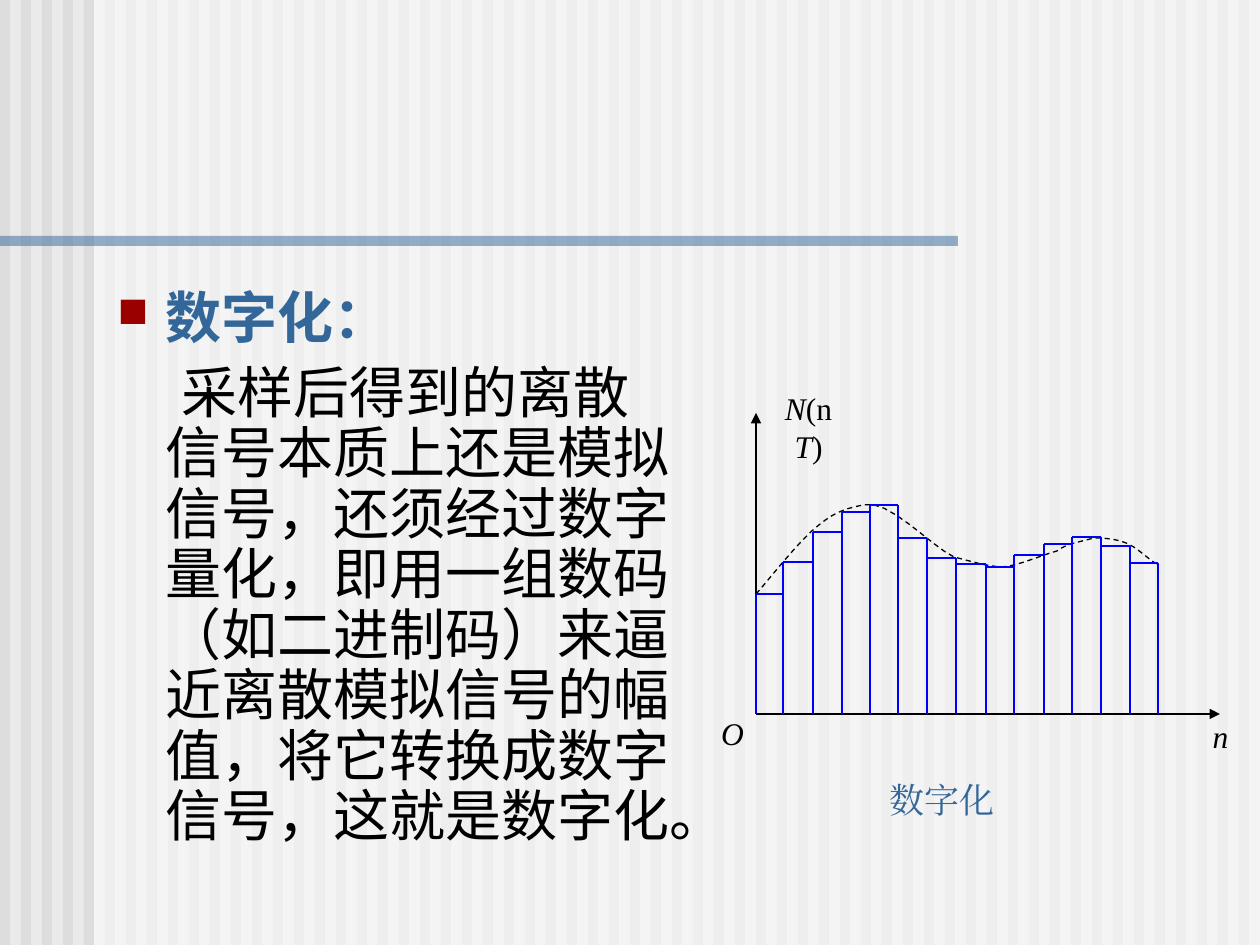
from itertools import pairwise
from lxml import etree
from pptx import Presentation
from pptx import util as u
from pptx.dml.color import RGBColor
from pptx.enum import dml, shapes, text
from pptx.oxml.ns import qn

PX = u.Inches(1) / 126
COLORS = {"page": "EAEAEA", "stripe": "DDDDDD", "veil": "FFFFFF", "accent": "336699",
          "bullet": "9A0000", "ink": "000000", "bar": "0000FF"}


def px(*lengths):
    return [round(length * PX) for length in lengths]


def add_text(place, paragraphs, size, font, color, **frame_format):
    box = page.shapes.add_textbox(*px(*place))
    for name, value in frame_format.items():
        setattr(box.text_frame, name, value)
    for index, runs in enumerate(paragraphs):
        para = box.text_frame.paragraphs[0] if index == 0 else box.text_frame.add_paragraph()
        for words, run_format in runs:
            span = para.add_run()
            span.text = words
            settings = {"size": u.Pt(size), "name": font} | run_format
            for name, value in settings.items():
                setattr(span.font, name, value)
            span.font.color.rgb = RGBColor.from_string(COLORS[color])
            etree.SubElement(span.font._element, qn("a:ea"), typeface=font)
    return box


deck = Presentation()
deck.slide_width, deck.slide_height = px(1260, 945)
page = deck.slides.add_slide(deck.slide_layouts[6])
page.background.fill.solid()
page.background.fill.fore_color.rgb = RGBColor.from_string(COLORS["page"])

panels = [(21 * i, 0, 10, 945, "stripe", 100) for i in range(60)]
panels += [(94, 0, 1166, 945, "veil", 50), (0, 236, 958, 10, "accent", 50)]
for left, top, width, height, color, opacity in panels:
    panel = page.shapes.add_shape(shapes.MSO_SHAPE.RECTANGLE, *px(left, top, width, height))
    panel.shadow.inherit = False
    panel.line.fill.background()
    panel.fill.solid()
    panel.fill.fore_color.rgb = RGBColor.from_string(COLORS[color])
    if opacity < 100:
        tint = panel._element.spPr.find(".//" + qn("a:srgbClr"))
        etree.SubElement(tint, qn("a:alpha"), val=str(opacity * 1000))

body = add_text((105, 284, 586, 635), [
    [("数字化：", {"bold": True})],
    [("采样后得到的离散信号本质上还是模拟信号，还须经过数字量化，即用一组数码"
      "（如二进制码）来逼近离散模拟信号的幅值，将它转换成数字信号，这就是数字化。", {})],
], 32, "DejaVu Sans", "ink", word_wrap=True)
heading, explanation = body.text_frame.paragraphs
heading.runs[0].font.color.rgb = RGBColor.from_string(COLORS["accent"])
for para, indent in ((heading, -48), (explanation, 16)):
    para.line_spacing = 0.9
    props = para._p.get_or_add_pPr()
    props.set("marL", str(px(48)[0]))
    props.set("indent", str(px(indent)[0]))
explanation.space_before = u.Pt(8)
props = heading._p.get_or_add_pPr()
bullet_color = etree.SubElement(props, qn("a:buClr"))
etree.SubElement(bullet_color, qn("a:srgbClr"), val=COLORS["bullet"])
etree.SubElement(props, qn("a:buSzPct"), val="75000")
etree.SubElement(props, qn("a:buChar"), char="■")

italic, upright = {"italic": True}, {"italic": False}
labels = [
    ((858, 780, 169, 40), [("数字化", {})], 20, "accent"),
    ((704, 709, 57, 48), [("O", italic)], 18, "ink"),
    ((1192, 712, 57, 48), [("n", italic)], 18, "ink"),
    ((769, 403, 79, 48), [("N", italic), ("(n", upright), ("T", italic), (")", upright)], 18, "ink"),
]
for place, runs, size, color in labels:
    label = add_text(place, [runs], size, "Times New Roman", color,
                     word_wrap=False, vertical_anchor=text.MSO_ANCHOR.MIDDLE)
    label.text_frame.paragraphs[0].alignment = text.PP_ALIGN.CENTER

curve_start = (756, 594)
curve_segments = [
    ((764, 586), (800, 539), (819, 525)),
    ((837, 510), (850, 508), (863, 505)),
    ((887, 497), (932, 547), (954, 557)),
    ((974, 562), (985, 566), (1002, 567)),
    ((1018, 566), (1042, 555), (1057, 551)),
    ((1065, 544), (1084, 541), (1094, 538)),
    ((1105, 538), (1116, 539), (1126, 543)),
    ((1137, 547), (1150, 561), (1157, 564)),
]
curve_points, anchor = [], curve_start
for first, second, end in curve_segments:
    for step in range(1, 9):
        t = step / 8
        curve_points.append(px(*(
            (1 - t) ** 3 * a + 3 * t * (1 - t) ** 2 * b + 3 * t ** 2 * (1 - t) * c + t ** 3 * d
            for a, b, c, d in zip(anchor, first, second, end))))
    anchor = end
builder = page.shapes.build_freeform(*px(*curve_start))
builder.add_line_segments(curve_points, close=False)
signal = builder.convert_to_shape()
signal.shadow.inherit = False
signal.fill.background()
signal.line.color.rgb = RGBColor.from_string(COLORS["ink"])
signal.line.width = u.Pt(0.75)
signal.line.dash_style = dml.MSO_LINE.DASH

baseline = 714
edges = [756, 783, 813, 842, 870, 898, 927, 956, 986, 1014, 1044, 1072, 1101, 1130, 1158]
tops = [594, 562, 532, 512, 505, 538, 558, 564, 567, 555, 544, 537, 546, 563]
axes = [(756, baseline, 1220, baseline), (756, baseline, 756, 413)]
sides = [(x, min(pair), x, baseline)
         for x, pair in zip(edges, pairwise([tops[0], *tops, tops[-1]]))]
steps = [(left, top, right, top) for (left, right), top in zip(pairwise(edges), tops)]
for ends in axes + sides + steps:
    is_axis = ends in axes
    line = page.shapes.add_connector(shapes.MSO_CONNECTOR.STRAIGHT, *px(*ends))
    line.line.color.rgb = RGBColor.from_string(COLORS["ink" if is_axis else "bar"])
    line.line.width = u.Pt(0.75 if is_axis else 1.5)
    if is_axis:
        etree.SubElement(line.line._get_or_add_ln(), qn("a:tailEnd"), type="triangle")
    etree.SubElement(line._element.spPr, qn("a:effectLst"))

deck.save("out.pptx")
